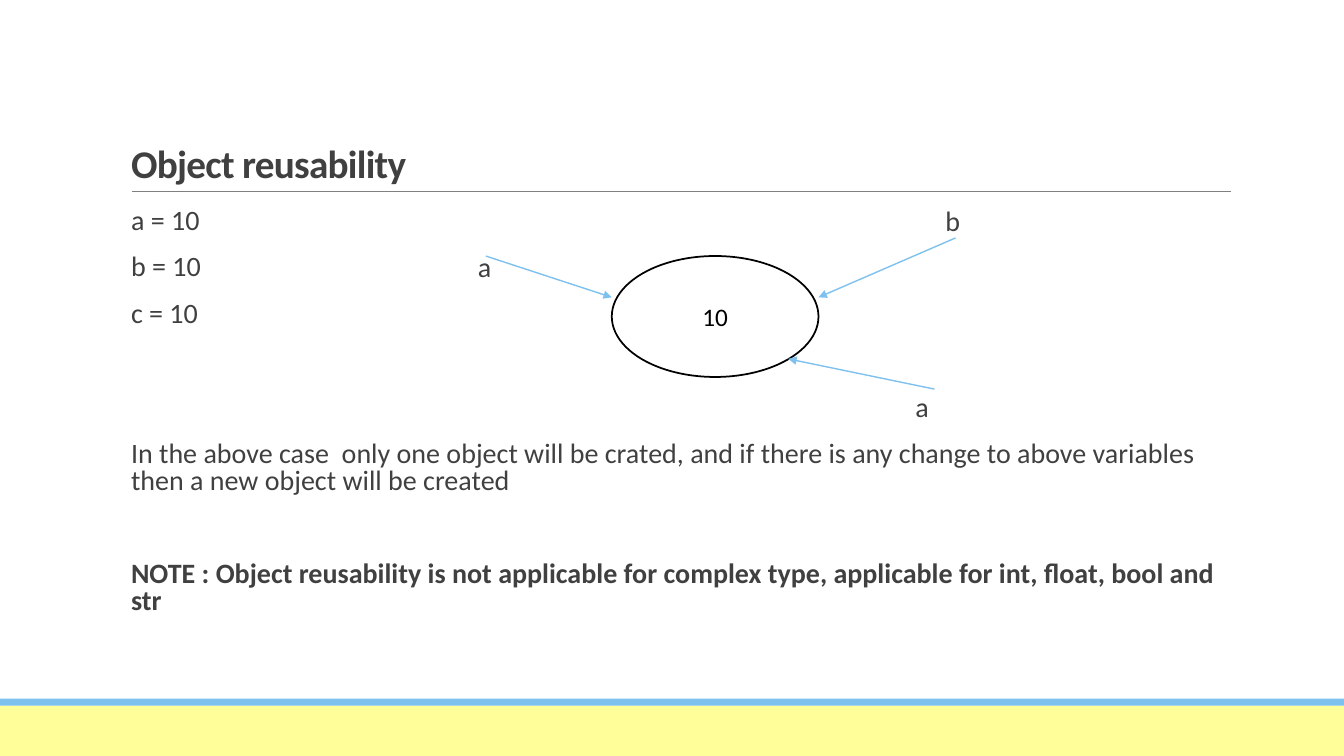
from dataclasses import dataclass
from typing import Any

from lxml.etree import SubElement
from pptx import Presentation
from pptx.dml.color import RGBColor
from pptx.enum.shapes import MSO_CONNECTOR as Connector
from pptx.enum.shapes import MSO_SHAPE as Preset
from pptx.enum.text import MSO_ANCHOR as Anchor
from pptx.enum.text import MSO_AUTO_SIZE as AutoSize
from pptx.enum.text import PP_ALIGN as Align
from pptx.oxml.ns import qn
from pptx.util import Inches, Pt

WHITE = RGBColor(0xFF, 0xFF, 0xFF)
BLACK = RGBColor(0x00, 0x00, 0x00)
TEXT_GRAY = RGBColor(0x40, 0x40, 0x40)
RULE_GRAY = RGBColor(0x80, 0x80, 0x80)
BLUE = RGBColor(0x7E, 0xC1, 0xEE)
YELLOW = RGBColor(0xFF, 0xFE, 0x99)
FONT = "Calibri"

# The slide is a grid of 100 columns by 100 rows
WIDTH, HEIGHT = Inches(13.33), Inches(7.5)


def columns(count: float) -> int:
    return round(WIDTH * count / 100)


def rows(count: float) -> int:
    return round(HEIGHT * count / 100)


@dataclass(frozen=True)
class Box:
    left: float
    top: float
    width: float
    height: float

    def place(self) -> tuple[int, int, int, int]:
        return columns(self.left), rows(self.top), columns(self.width), rows(self.height)


@dataclass(frozen=True)
class Band:
    box: Box
    color: RGBColor


@dataclass(frozen=True)
class Line:
    start: tuple[float, float]
    end: tuple[float, float]
    color: RGBColor = BLUE
    weight: float = 1
    arrow: bool = True


@dataclass(frozen=True)
class BodyLine:
    text: str
    bold: bool = False
    before: float = 12


@dataclass(frozen=True)
class Label:
    text: str
    left: float
    body_row: int


INSET_X, INSET_Y = 0.75, 0.67
TITLE_BOX = Box(9, 4.13, 82.5, 21.2)
BODY_BOX = Box(9, 26.93, 82.5, 58.67)
OBJECT_BOX = Box(45.52, 33.87, 15.38, 16)
LABEL_TOP, LABEL_WIDTH, LABEL_HEIGHT = 26.9, 2, 4.53
BODY_PITCH = 6.16

BANDS = [
    Band(Box(0, 93.33, 100, 6.67), YELLOW),
    Band(Box(0, 92.4, 100, 0.93), BLUE),
]
LINES = [
    Line((9.82, 25.33), (91.57, 25.33), RULE_GRAY, 0.5, arrow=False),
    Line((36.15, 33.87), (45.52, 39.33)),
    Line((71.1, 31.47), (60.9, 39.33)),
    Line((69.53, 51.47), (58.65, 47.47)),
]
BODY = [
    BodyLine("a = 10"),
    BodyLine("b = 10"),
    BodyLine("c = 10"),
    BodyLine("In the above case  only one object will be crated, and if there is any "
             "change to above variables then a new object will be created", before=79),
    BodyLine("NOTE : Object reusability is not applicable for complex type, "
             "applicable for int, float, bool and str", bold=True, before=45.5),
]
LABELS = [Label("b", 70.35, 0), Label("a", 35.55, 1), Label("a", 68.1, 4)]


def apply(target: Any, values: dict[str, Any]) -> None:
    for name, value in values.items():
        setattr(target, name, value)


def add_text(paragraph: Any, text: str, size: float, color: RGBColor, bold: bool = False) -> Any:
    run = paragraph.add_run()
    run.text = text
    apply(run.font, {"name": FONT, "size": Pt(size), "bold": bold})
    run.font.color.rgb = color
    return run


def set_frame(shape: Any, box: Box, anchor: Any, inset_x: float = 0, inset_y: float = 0) -> Any:
    apply(shape, dict(zip(("left", "top", "width", "height"), box.place())))
    frame = shape.text_frame
    apply(frame, {
        "word_wrap": True, "auto_size": AutoSize.NONE, "vertical_anchor": anchor,
        "margin_left": columns(inset_x), "margin_right": 0,
        "margin_top": rows(inset_y), "margin_bottom": rows(inset_y),
    })
    return frame


def add_shape(slide: Any, preset: Any, box: Box, color: RGBColor) -> Any:
    shape = slide.shapes.add_shape(preset, *box.place())
    shape.shadow.inherit = False
    shape.fill.solid()
    shape.fill.fore_color.rgb = color
    shape.line.fill.background()
    return shape


def add_line(slide: Any, line: Line) -> None:
    (x1, y1), (x2, y2) = line.start, line.end
    connector = slide.shapes.add_connector(
        Connector.STRAIGHT, columns(x1), rows(y1), columns(x2), rows(y2))
    connector.line.color.rgb = line.color
    connector.line.width = Pt(line.weight)
    if line.arrow:
        SubElement(connector.line._get_or_add_ln(), qn("a:tailEnd"), type="triangle")
    SubElement(connector._element.spPr, qn("a:effectLst"))


def add_body_line(paragraph: Any, line: BodyLine) -> None:
    apply(paragraph, {
        "alignment": Align.LEFT, "line_spacing": 0.8,
        "space_before": Pt(line.before), "space_after": Pt(2),
    })
    properties = paragraph._p.get_or_add_pPr()
    properties.set("marL", "0")
    properties.set("indent", "0")
    SubElement(properties, qn("a:buNone"))
    add_text(paragraph, line.text, 20, TEXT_GRAY, line.bold)


def add_label(slide: Any, label: Label) -> None:
    box = Box(label.left, LABEL_TOP + BODY_PITCH * label.body_row, LABEL_WIDTH, LABEL_HEIGHT)
    frame = set_frame(slide.shapes.add_textbox(*box.place()), box, Anchor.TOP)
    add_text(frame.paragraphs[0], label.text, 20, TEXT_GRAY)


def main() -> None:
    presentation = Presentation()
    apply(presentation, {"slide_width": WIDTH, "slide_height": HEIGHT})
    slide = presentation.slides.add_slide(presentation.slide_layouts[1])

    # Footer bands
    for band in BANDS:
        add_shape(slide, Preset.RECTANGLE, band.box, band.color)

    # Title
    title_frame = set_frame(slide.shapes.title, TITLE_BOX, Anchor.BOTTOM, INSET_X, INSET_Y)
    title = title_frame.paragraphs[0]
    apply(title, {"alignment": Align.LEFT, "line_spacing": 0.85})
    run = add_text(title, "Object reusability", 28, TEXT_GRAY, bold=True)
    run._r.get_or_add_rPr().set("spc", "-50")

    # Body text
    body = set_frame(slide.placeholders[1], BODY_BOX, Anchor.TOP, INSET_X, INSET_Y)
    for index, line in enumerate(BODY):
        add_body_line(body.add_paragraph() if index else body.paragraphs[0], line)

    # Shared object
    ellipse = add_shape(slide, Preset.OVAL, OBJECT_BOX, WHITE)
    ellipse.line.color.rgb = BLACK
    ellipse.line.width = Pt(1.25)
    ellipse.text_frame.vertical_anchor = Anchor.MIDDLE
    value = ellipse.text_frame.paragraphs[0]
    value.alignment = Align.CENTER
    add_text(value, "10", 18, BLACK)

    # Variable labels, title rule and reference arrows
    for label in LABELS:
        add_label(slide, label)
    for line in LINES:
        add_line(slide, line)

    presentation.save("out.pptx")


if __name__ == "__main__":
    main()
